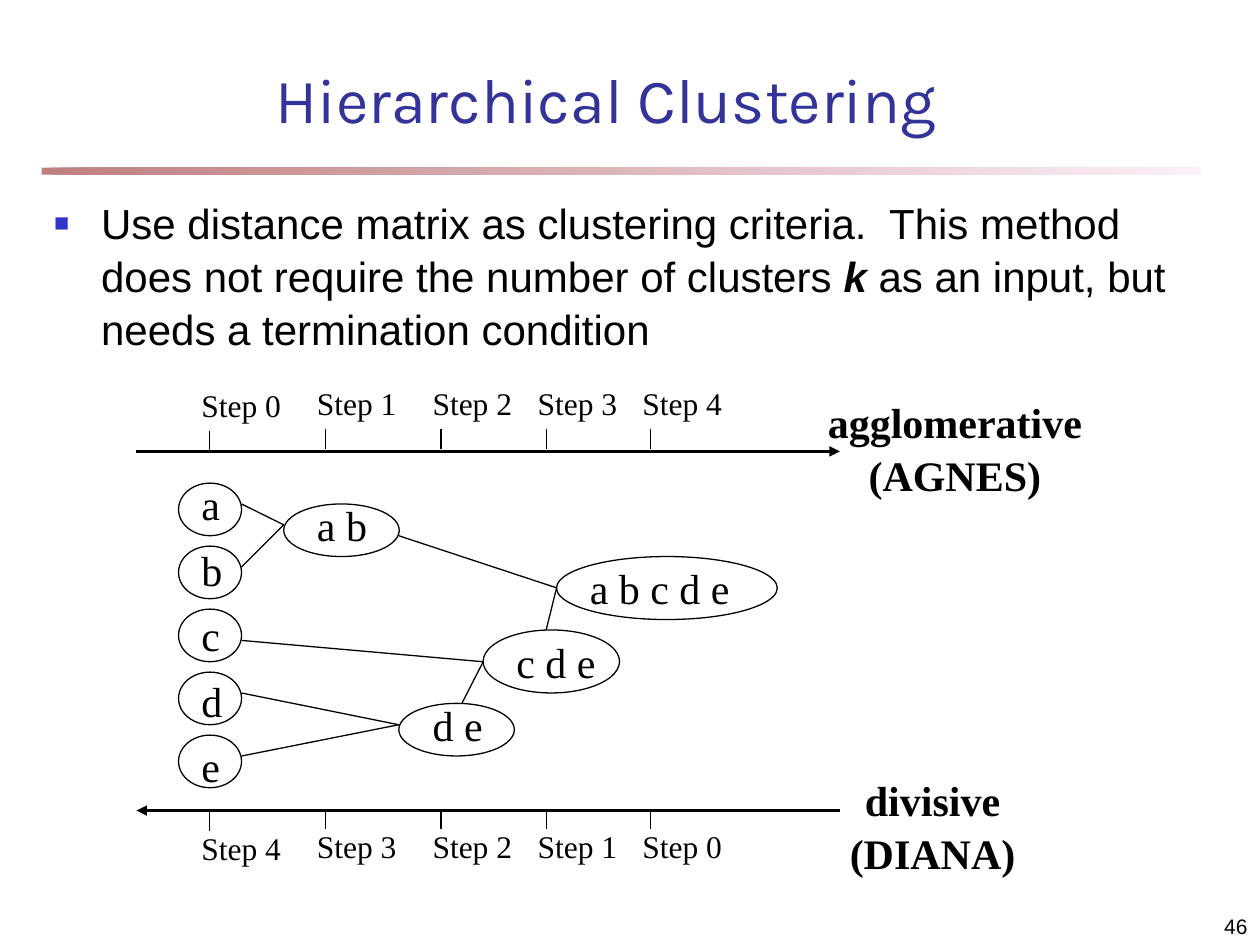
from dataclasses import dataclass

import pptx
import pptx.dml.color
import pptx.enum.shapes
import pptx.enum.text
import pptx.oxml.ns
import pptx.util
from lxml import etree

Cm = pptx.util.Cm
Pt = pptx.util.Pt
RGB = pptx.dml.color.RGBColor.from_string
SHAPE = pptx.enum.shapes.MSO_SHAPE
ALIGN = pptx.enum.text.PP_ALIGN
ANCHOR = pptx.enum.text.MSO_ANCHOR
qn = pptx.oxml.ns.qn


@dataclass
class Theme:
    ink: str = "000000"
    title: str = "333399"
    bullet: str = "3333CC"
    rule_start: str = "800000"
    rule_end: str = "FAE2F6"
    title_font: str = "Karla"
    body_font: str = "Arial"
    diagram_font: str = "Times New Roman"
    title_size: int = 36
    text_size: int = 24
    step_size: int = 18
    number_size: int = 12
    thin: float = 0.75
    thick: float = 1.5


theme = Theme()
deck = pptx.Presentation()
deck.slide_width, deck.slide_height = Cm(25.4), Cm(19.05)
page = deck.slides.add_slide(deck.slide_layouts[6])


def add_text(text, left, top, width, height, font=theme.diagram_font, size=theme.text_size,
             color=theme.ink, bold=False, align=ALIGN.LEFT, anchor=ANCHOR.TOP, wrap=False,
             spacing=1.0):
    """Each line becomes a paragraph; words between asterisks are bold italic."""
    box = page.shapes.add_textbox(Cm(left), Cm(top), Cm(width), Cm(height))
    frame = box.text_frame
    frame.word_wrap = wrap
    frame.vertical_anchor = anchor
    for index, line in enumerate(text.split("\n")):
        para = frame.add_paragraph() if index else frame.paragraphs[0]
        para.alignment = align
        para.line_spacing = spacing
        for part, words in enumerate(line.split("*")):
            span = para.add_run()
            span.text = words
            span.font.name, span.font.size = font, Pt(size)
            span.font.color.rgb = RGB(color)
            span.font.bold = bold or part % 2 == 1
            span.font.italic = part % 2 == 1
    return box


def add_line(start_x, start_y, end_x, end_y, width=theme.thin, arrow=None):
    line = page.shapes.add_connector(pptx.enum.shapes.MSO_CONNECTOR.STRAIGHT,
                                     Cm(start_x), Cm(start_y), Cm(end_x), Cm(end_y))
    line.line.color.rgb = RGB(theme.ink)
    line.line.width = Pt(width)
    if arrow:
        etree.SubElement(line.line._get_or_add_ln(), qn(f"a:{arrow}"), type="triangle")
    etree.SubElement(line.element.spPr, qn("a:effectLst"))


# Gradient rule under the title
rule = page.shapes.add_shape(SHAPE.RECTANGLE, Cm(0.84), Cm(3.38), Cm(23.37), Cm(0.14))
rule.shadow.inherit = False
rule.line.fill.background()
rule.fill.gradient()
rule.fill.gradient_angle = 0
for stop, color in zip(rule.fill.gradient_stops, (theme.rule_start, theme.rule_end)):
    stop.color.rgb = RGB(color)
for tint in rule.element.spPr.iter(qn("a:srgbClr")):
    etree.SubElement(tint, qn("a:alpha"), val="50000")

# Title
add_text("Hierarchical Clustering", 2.08, 1.37, 20.27, 1.22, font=theme.title_font,
         size=theme.title_size, color=theme.title, align=ALIGN.CENTER,
         anchor=ANCHOR.MIDDLE, wrap=True)

# Bulleted statement
body = add_text("Use distance matrix as clustering criteria.  This method does not require the "
                "number of clusters *k* as an input, but needs a termination condition",
                0.84, 3.81, 23.06, 3.38, font=theme.body_font, wrap=True, spacing=1.05)
bullet = body.text_frame.paragraphs[0]._p.get_or_add_pPr()
bullet.set("marL", str(Cm(0.95)))
bullet.set("indent", str(Cm(-0.95)))
bullet_color = etree.SubElement(bullet, qn("a:buClr"))
etree.SubElement(bullet_color, qn("a:srgbClr"), val=theme.bullet)
etree.SubElement(bullet, qn("a:buSzPct"), val="60000")
etree.SubElement(bullet, qn("a:buFont"), typeface=theme.body_font)
etree.SubElement(bullet, qn("a:buChar"), char="■")

# Step axes: agglomerative runs right, divisive runs left
step_xs = (4.23, 6.56, 8.89, 11.01, 13.12)
axes = (
    (9.1, "tailEnd", 8.64, 7.62, range(5)),
    (16.34, "headEnd", 16.3, 16.55, range(4, -1, -1)),
)
for axis_y, arrow, tick_y, label_y, steps in axes:
    add_line(2.75, axis_y, 16.93, axis_y, width=theme.thick, arrow=arrow)
    for x, step in zip(step_xs, steps):
        drop = 0.04 if x == step_xs[0] else 0
        add_line(x, tick_y + drop, x, tick_y + drop + 0.42)
        add_text(f"Step {step}", x - 0.42, label_y + drop, 2.12, 1.02,
                 size=theme.step_size, wrap=True)

# Clusters: label, text left, text top, text width, oval left, top, width, height
clusters = [(letter, 3.81, 9.53 + 1.32 * row, 0.9, 3.6, 9.74 + 1.27 * row, 1.27, 1.06)
            for row, letter in enumerate("abcde")]
clusters += [
    ("a b", 6.14, 9.95, 1.52, 5.72, 10.16, 2.33, 1.06),
    ("d e", 8.47, 13.97, 1.52, 8.04, 14.18, 2.33, 1.06),
    ("c d e", 10.16, 12.7, 2.12, 9.74, 12.7, 2.75, 1.27),
    ("a b c d e", 11.64, 11.22, 3.33, 11.22, 11.22, 4.45, 1.27),
]
for label, text_left, text_top, text_width, left, top, width, height in clusters:
    add_text(label, text_left, text_top, text_width, 1.27)
    oval = page.shapes.add_shape(SHAPE.OVAL, Cm(left), Cm(top), Cm(width), Cm(height))
    oval.shadow.inherit = False
    oval.fill.background()
    oval.line.color.rgb = RGB(theme.ink)
    oval.line.width = Pt(theme.thin)

# Merge links, grouped by the point where they meet
merges = {
    (5.72, 10.58): ((4.87, 10.16), (4.87, 11.43)),
    (8.04, 14.61): ((4.87, 13.97), (4.87, 15.24)),
    (9.74, 13.34): ((4.87, 12.91), (9.31, 14.18)),
    (11.22, 11.85): ((8.04, 10.8), (11.01, 12.7)),
}
for target, sources in merges.items():
    for source in sources:
        add_line(*source, *target)

# Method names
for name, left, top, width in (("agglomerative\n(AGNES)", 16.43, 7.82, 5.64),
                               ("divisive\n(DIANA)", 16.87, 15.44, 3.86)):
    add_text(name, left, top, width, 2.29, bold=True, align=ALIGN.CENTER, spacing=1.05)

# Page number
add_text("46", 20.12, 17.98, 5.28, 1.07, font=theme.body_font, size=theme.number_size,
         align=ALIGN.RIGHT, anchor=ANCHOR.BOTTOM, wrap=True)

deck.save("out.pptx")
